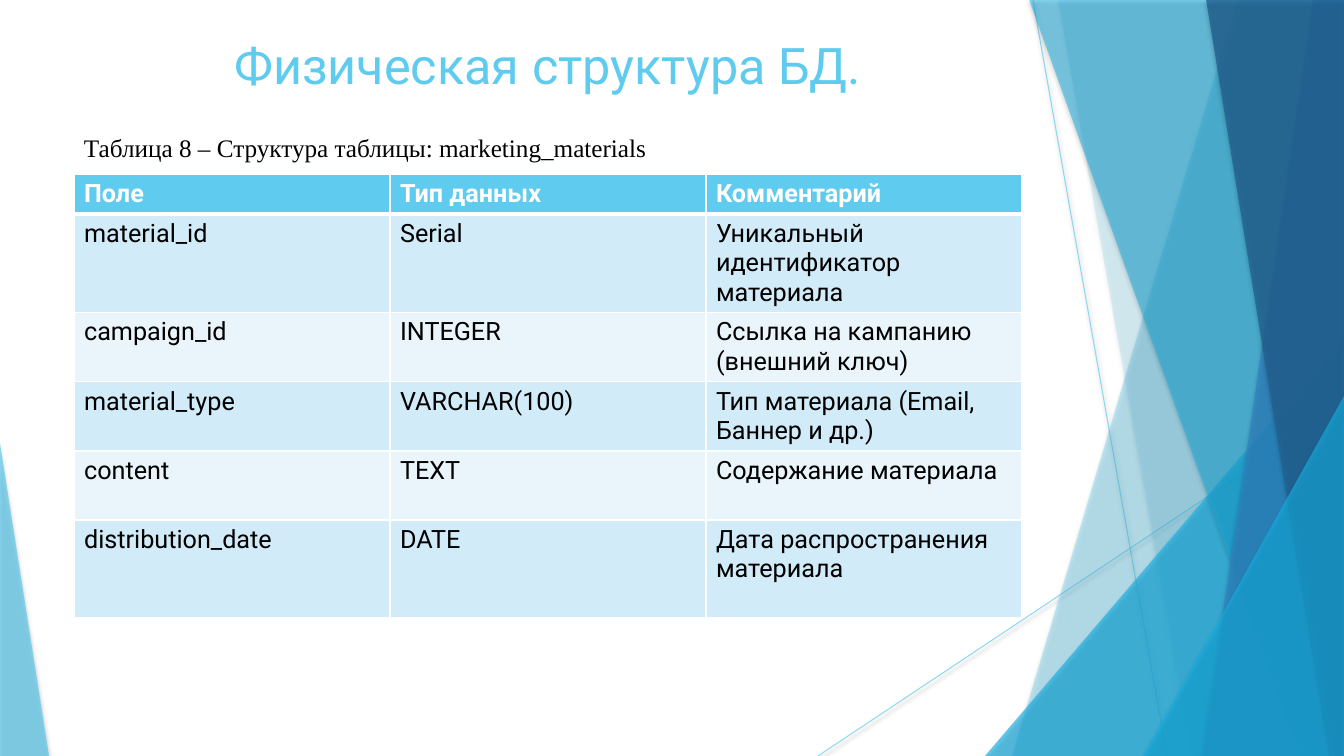
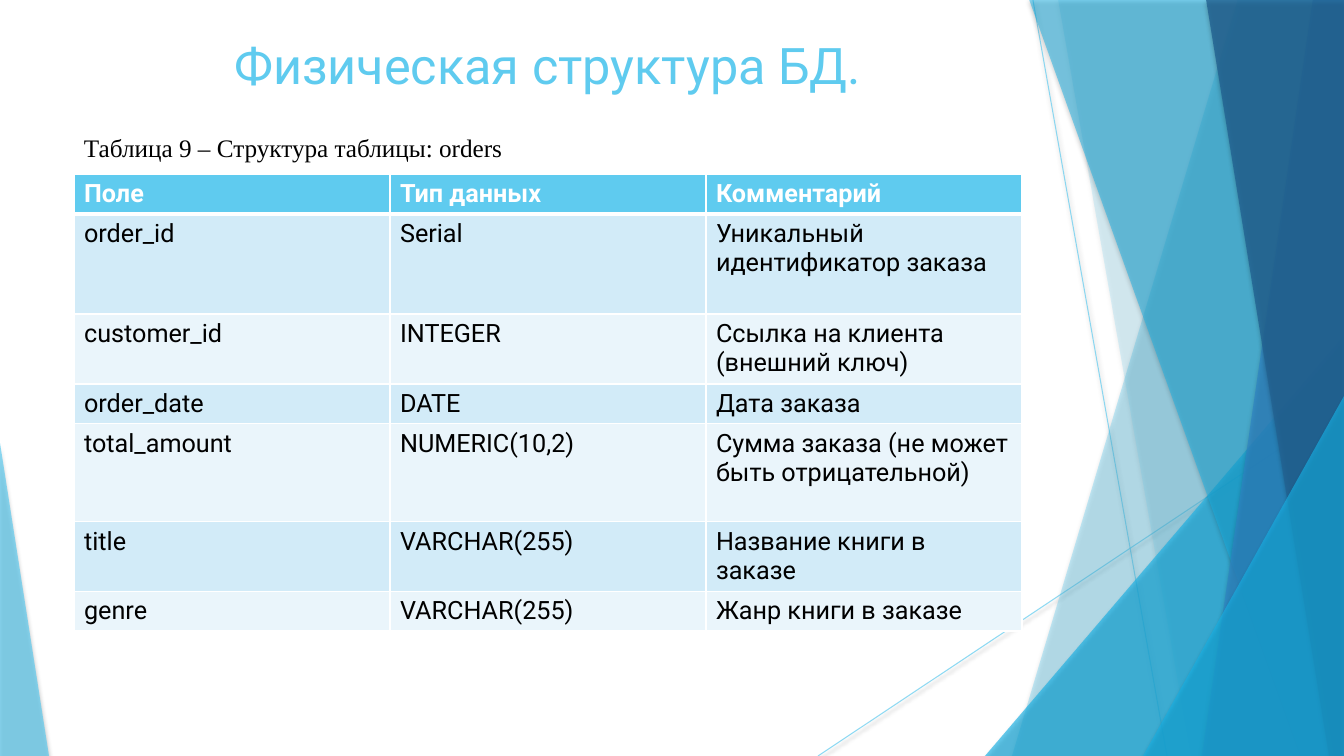
from lxml import etree
from pptx import Presentation
from pptx.dml.color import RGBColor
from pptx.enum.shapes import MSO_CONNECTOR, MSO_SHAPE
from pptx.enum.text import MSO_ANCHOR, MSO_AUTO_SIZE, PP_ALIGN
from pptx.oxml.ns import qn
from pptx.util import Emu, Pt

STRAIGHT = MSO_CONNECTOR.STRAIGHT
TRIANGLE = MSO_SHAPE.ISOSCELES_TRIANGLE
TOP, NO_FIT, FIT_SHAPE = MSO_ANCHOR.TOP, MSO_AUTO_SIZE.NONE, MSO_AUTO_SIZE.SHAPE_TO_FIT_TEXT
LEFT, CENTER = PP_ALIGN.LEFT, PP_ALIGN.CENTER

# Slide size in px, and the one scale to EMU
WIDTH, HEIGHT = 1344, 756
SCALE = 12192000 / WIDTH

# Content column
MARGIN, COLUMN, COLUMNS = 74, 316, 3

# Colours and fonts
SKY, CYAN, BLUE, NAVY = "5FCBEF", "17B0E4", "2E83C3", "226292"
WHITE, BLACK = "FFFFFF", "000000"
BANDS = ("D2EBF8", "EAF5FB")
SANS, SERIF = "Roboto", "Times New Roman"


def px(n):
    return Emu(round(n * SCALE))


def rgb(value):
    return RGBColor.from_string(value)


class Deck:
    def __init__(self):
        self.prs = Presentation()
        self.prs.slide_width, self.prs.slide_height = px(WIDTH), px(HEIGHT)
        self.s = None

    def slide(self, title):
        self.s = self.prs.slides.add_slide(self.prs.slide_layouts[5])
        self.facets()
        self.title(title)

    # Text
    def text(self, tf, text, size, font, color, bold=False, align=LEFT):
        p = tf.paragraphs[0]
        p.alignment = align
        r = p.add_run()
        r.text = text
        r.font.size, r.font.name, r.font.bold = Pt(size), font, bold
        r.font.color.rgb = rgb(color)

    def title(self, text):
        sp = self.s.shapes.title
        sp.left, sp.top = px(MARGIN), px(29)
        sp.width, sp.height = px(COLUMN * COLUMNS), px(145)
        tf = sp.text_frame
        tf.auto_size, tf.vertical_anchor = NO_FIT, TOP
        self.text(tf, text, 36, SANS, SKY, align=CENTER)

    def caption(self, text):
        sp = self.s.shapes.add_textbox(px(MARGIN), px(127), px(672), px(40))
        tf = sp.text_frame
        tf.word_wrap, tf.auto_size = True, FIT_SHAPE
        self.text(tf, text, 18, SERIF, BLACK)

    # Translucent shapes with a soft shadow
    def soften(self, sp, opacity, shadow=35, blur=3, dist=2):
        props = sp._element.spPr
        for color in props.iter(qn("a:srgbClr")):
            etree.SubElement(color, qn("a:alpha"), val=str(opacity * 1000))
        effects = etree.SubElement(props, qn("a:effectLst"))
        outer = etree.SubElement(effects, qn("a:outerShdw"), blurRad=str(Pt(blur)),
                                 dist=str(Pt(dist)), dir="5400000", rotWithShape="0")
        color = etree.SubElement(outer, qn("a:srgbClr"), val=BLACK)
        etree.SubElement(color, qn("a:alpha"), val=str(shadow * 1000))

    def paint(self, sp, color, opacity):
        sp.fill.solid()
        sp.fill.fore_color.rgb = rgb(color)
        sp.line.fill.background()
        self.soften(sp, opacity)

    def line(self, x1, y1, x2, y2):
        sp = self.s.shapes.add_connector(STRAIGHT, px(x1), px(y1), px(x2), px(y2))
        sp.line.width = Pt(0.75)
        sp.line.color.rgb = rgb(SKY)
        self.soften(sp, 70, shadow=38, blur=3.1, dist=1.6)

    def blade(self, top_x, bottom_x, color, opacity):
        """Slanted left edge, straight right edge on the slide border."""
        builder = self.s.shapes.build_freeform(top_x, -1, scale=SCALE)
        builder.add_line_segments([(WIDTH, -1), (WIDTH, HEIGHT), (bottom_x, HEIGHT)])
        self.paint(builder.convert_to_shape(), color, opacity)

    def triangle(self, x, y, w, apex, color, opacity):
        """Triangle standing on the bottom of the slide."""
        sp = self.s.shapes.add_shape(TRIANGLE, px(x), px(y), px(w), px(HEIGHT - y))
        sp.adjustments[0] = apex
        self.paint(sp, color, opacity)

    def facets(self):
        self.line(1033, 0, 1167, HEIGHT)
        self.line(WIDTH, 406, 818, HEIGHT)
        self.blade(1238, 1012, SKY, 36)
        self.blade(1058, 1191, SKY, 20)
        self.triangle(985, 336, 359, 1, CYAN, 66)
        self.blade(1029, 1301, CYAN, 50)
        self.blade(1313, 1202, BLUE, 70)
        self.blade(1206, 1329, NAVY, 80)
        self.triangle(1143, 396, 201, 1, CYAN, 66)
        self.triangle(0, 443, 49, 0, SKY, 70)

    # Table
    def borders(self, cell, header_above, header):
        props = cell._tc.get_or_add_tcPr()
        widths = {"L": 0.96, "R": 0.96, "T": 3 if header_above else 0.96,
                  "B": 3 if header else 0.96}
        for side, width in widths.items():
            ln = etree.SubElement(props, qn("a:ln" + side), w=str(Pt(width)))
            fill = etree.SubElement(ln, qn("a:solidFill"))
            etree.SubElement(fill, qn("a:srgbClr"), val=WHITE)

    def table(self, rows, heights):
        frame = self.s.shapes.add_table(len(rows), COLUMNS, px(MARGIN), px(174),
                                        px(COLUMN * COLUMNS), px(sum(heights)))
        table = frame.table
        for column in table.columns:
            column.width = px(COLUMN)
        for i, (row, height) in enumerate(zip(rows, heights)):
            table.rows[i].height = px(height)
            header = i == 0
            for j, text in enumerate(row):
                cell = table.cell(i, j)
                self.borders(cell, i == 1, header)
                cell.fill.solid()
                cell.fill.fore_color.rgb = rgb(SKY if header else BANDS[(i - 1) % 2])
                self.text(cell.text_frame, text, 18, SANS,
                          WHITE if header else BLACK, bold=header)


HEADER = ("Поле", "Тип данных", "Комментарий")

# Caption, row heights, fields
TABLES = [
    ("Таблица 8 – Структура таблицы: marketing_materials",
     (39, 98, 69, 69, 69, 98),
     [("material_id", "Serial", "Уникальный идентификатор материала"),
      ("campaign_id", "INTEGER", "Ссылка на кампанию (внешний ключ)"),
      ("material_type", "VARCHAR(100)", "Тип материала (Email, Баннер и др.)"),
      ("content", "TEXT", "Содержание материала"),
      ("distribution_date", "DATE", "Дата распространения материала")]),
    ("Таблица 9 – Структура таблицы: orders",
     (40, 100, 70, 40, 98, 69, 40),
     [("order_id", "Serial", "Уникальный идентификатор заказа"),
      ("customer_id", "INTEGER", "Ссылка на клиента (внешний ключ)"),
      ("order_date", "DATE", "Дата заказа"),
      ("total_amount", "NUMERIC(10,2)", "Сумма заказа (не может быть отрицательной)"),
      ("title", "VARCHAR(255)", "Название книги в заказе"),
      ("genre", "VARCHAR(255)", "Жанр книги в заказе")]),
]


def main():
    deck = Deck()
    for caption, heights, fields in TABLES:
        deck.slide("Физическая структура БД.")
        deck.table([HEADER] + fields, heights)
        deck.caption(caption)
    deck.prs.save("out.pptx")


if __name__ == "__main__":
    main()
